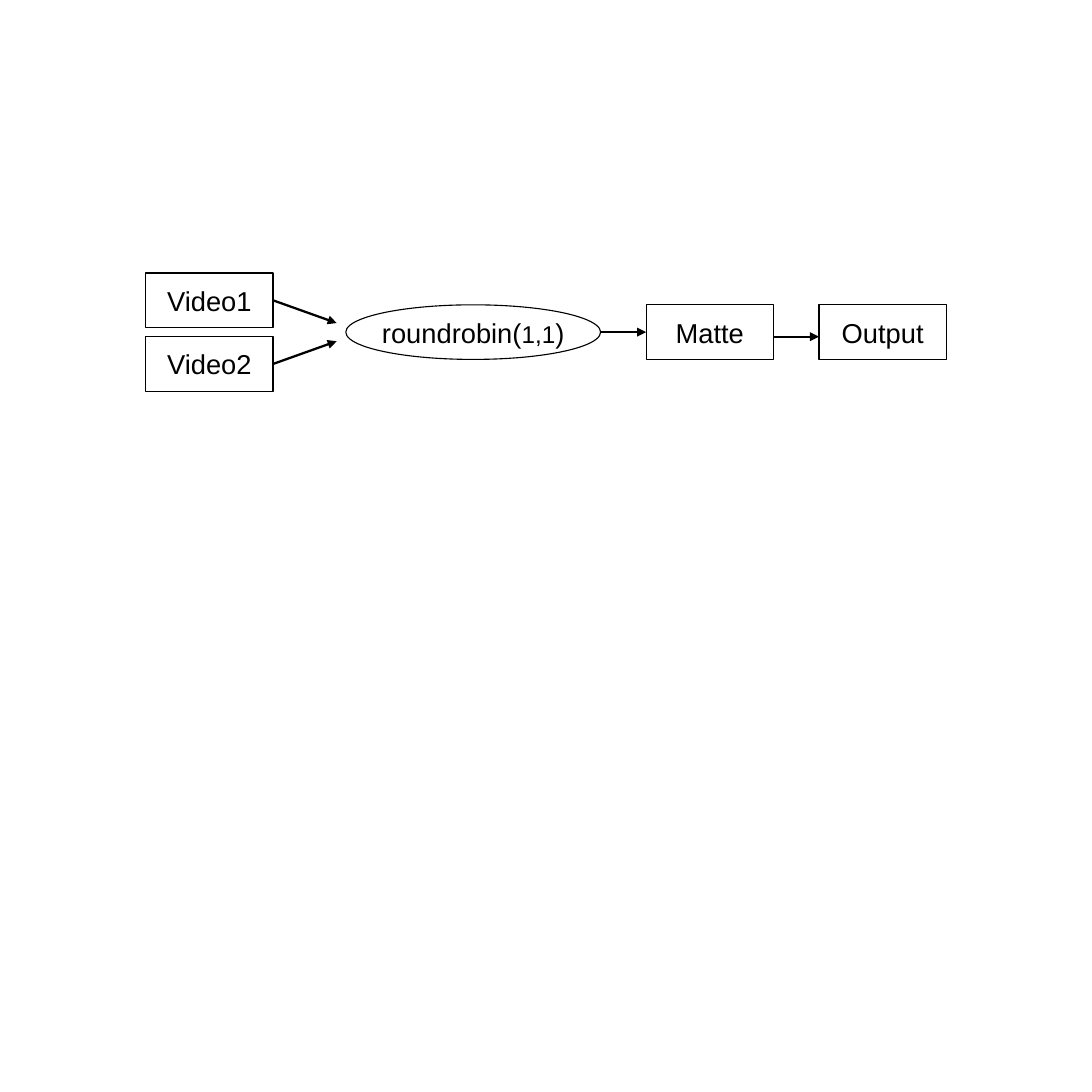
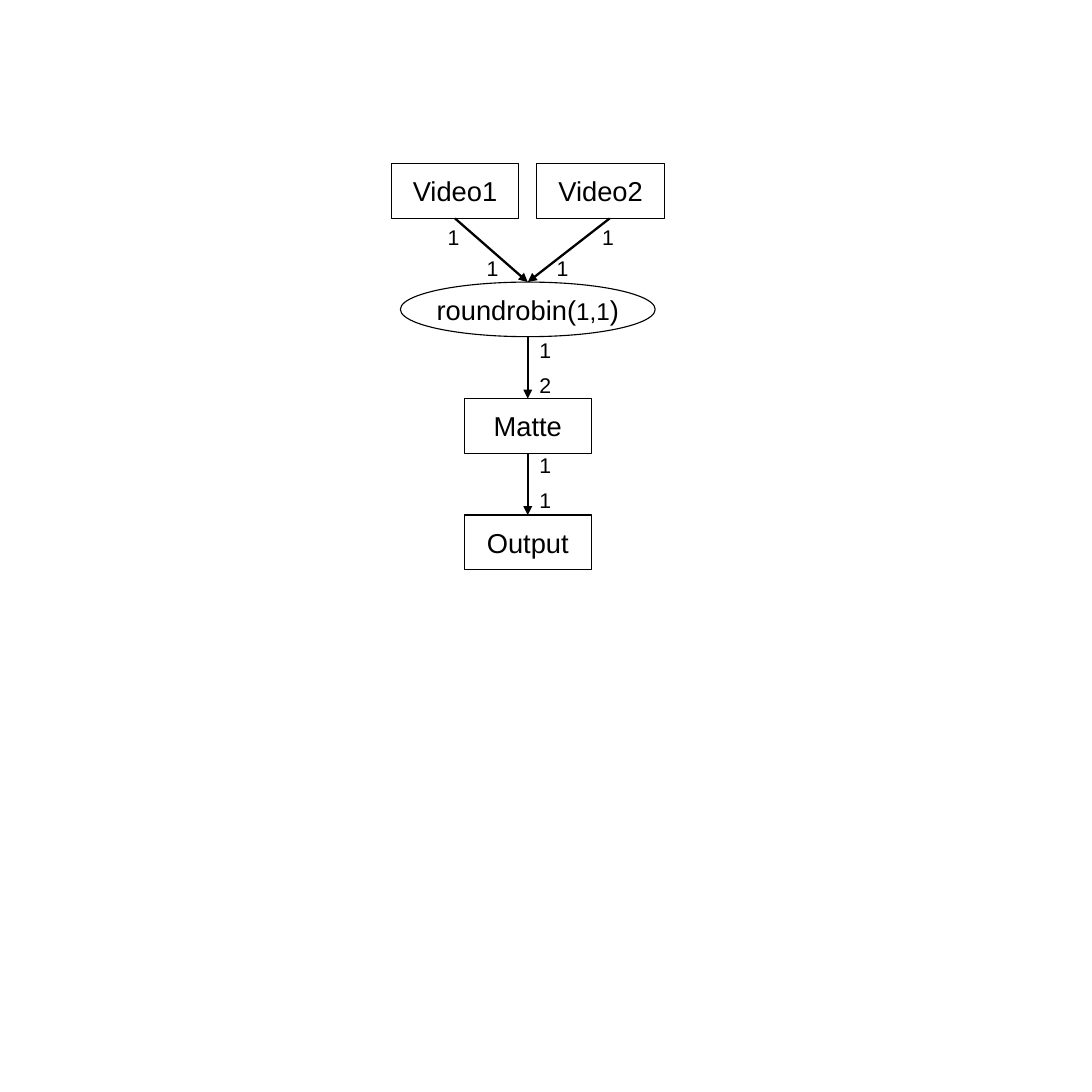
"""Build two stream-graph slides: a horizontal flow and a vertical flow with rates."""
from lxml import etree
from pptx import Presentation
from pptx.dml.color import RGBColor
from pptx.enum import shapes, text
from pptx.oxml.ns import qn
from pptx.util import Inches, Pt

BLACK = RGBColor(0, 0, 0)
FONT = "Arial"
GRID = Inches(1) / 12
SLIDE_SIDE = 120
NODE_HEIGHT = 6
BOX = (shapes.MSO_SHAPE.RECTANGLE, 14)
OVAL = (shapes.MSO_SHAPE.OVAL, 28)
STACK_TOP, STACK_STEP = 31, 12.8
SIDES = {"left": (0, 0.5), "right": (1, 0.5), "top": (0.5, 0), "bottom": (0.5, 1)}

NODES = {
    "Video1": (BOX, [("Video1", 18)]),
    "Video2": (BOX, [("Video2", 18)]),
    "Joiner": (OVAL, [("roundrobin(", 18), ("1,1", 16), (")", 18)]),
    "Matte": (BOX, [("Matte", 18)]),
    "Output": (BOX, [("Output", 18)]),
}

HORIZONTAL = {
    "places": {"Video1": (16, 30), "Video2": (16, 37), "Joiner": (38, 33.5),
               "Matte": (71, 33.5), "Output": (90, 33.5)},
    "sides": ("right", "left"),
    "arrows": [("Video1", (0, 0), "Joiner", (-1, -1)),
               ("Video2", (0, 0), "Joiner", (-1, 1)),
               ("Joiner", (0, 0), "Matte", (0, 0)),
               ("Matte", (0, 0.5), "Output", (0, 0.5))],
    "rates": [],
}
VERTICAL = {
    "places": {"Video1": (43, 18), "Video2": (59, 18), "Joiner": (44, STACK_TOP),
               "Matte": (51, STACK_TOP + STACK_STEP),
               "Output": (51, STACK_TOP + 2 * STACK_STEP)},
    "sides": ("bottom", "top"),
    "arrows": [("Video1", (0, 0), "Joiner", (0, 0)),
               ("Video2", (1, 0), "Joiner", (0, 0)),
               ("Joiner", (0, 0), "Matte", (0, 0)),
               ("Matte", (0, 0), "Output", (0, 0))],
    "rates": [("1", 48, 24), ("1", 65, 24), ("1", 52.3, 27.5), ("1", 60, 27.5),
              ("1", 58.1, 36.5), ("2", 58.1, 40.3), ("1", 58.1, 49.1), ("1", 58.1, 53)],
}


def grid(*units):
    return [round(unit * GRID) for unit in units]


def write(shape, runs, alignment):
    shape.text_frame.word_wrap = False
    paragraph = shape.text_frame.paragraphs[0]
    paragraph.alignment = alignment
    paragraph.font.name = FONT
    for wording, size in runs:
        run = paragraph.add_run()
        run.text = wording
        run.font.size = Pt(size)
        run.font.color.rgb = BLACK


def add_node(slide, name, left, top):
    (kind, width), runs = NODES[name]
    shape = slide.shapes.add_shape(kind, *grid(left, top, width, NODE_HEIGHT))
    shape.shadow.inherit = False
    shape.fill.background()
    shape.line.color.rgb = BLACK
    shape.line.width = Pt(0.75)
    shape.text_frame.vertical_anchor = text.MSO_ANCHOR.MIDDLE
    write(shape, runs, text.PP_ALIGN.CENTER)


def anchor(places, name, side, shift):
    (_, width), _ = NODES[name]
    left, top = places[name]
    across, down = SIDES[side]
    return left + across * width + shift[0], top + down * NODE_HEIGHT + shift[1]


def add_arrow(slide, start, end):
    arrow = slide.shapes.add_connector(shapes.MSO_CONNECTOR.STRAIGHT, *grid(*start, *end))
    arrow.line.color.rgb = BLACK
    arrow.line.width = Pt(1.5)
    etree.SubElement(arrow.line._get_or_add_ln(), qn("a:tailEnd"), type="triangle")
    etree.SubElement(arrow._element.spPr, qn("a:effectLst"))


def add_rate(slide, rate, left, top):
    label = slide.shapes.add_textbox(*grid(left, top, 3.7, 4))
    write(label, [(rate, 14)], text.PP_ALIGN.LEFT)


def add_graph(presentation, graph):
    slide = presentation.slides.add_slide(presentation.slide_layouts[6])
    places = graph["places"]
    exit_side, entry_side = graph["sides"]
    for name, place in places.items():
        add_node(slide, name, *place)
    for source, source_shift, target, target_shift in graph["arrows"]:
        add_arrow(slide, anchor(places, source, exit_side, source_shift),
                  anchor(places, target, entry_side, target_shift))
    for rate in graph["rates"]:
        add_rate(slide, *rate)


def main():
    presentation = Presentation()
    presentation.slide_width, presentation.slide_height = grid(SLIDE_SIDE, SLIDE_SIDE)
    for graph in (HORIZONTAL, VERTICAL):
        add_graph(presentation, graph)
    presentation.save("out.pptx")


if __name__ == "__main__":
    main()
